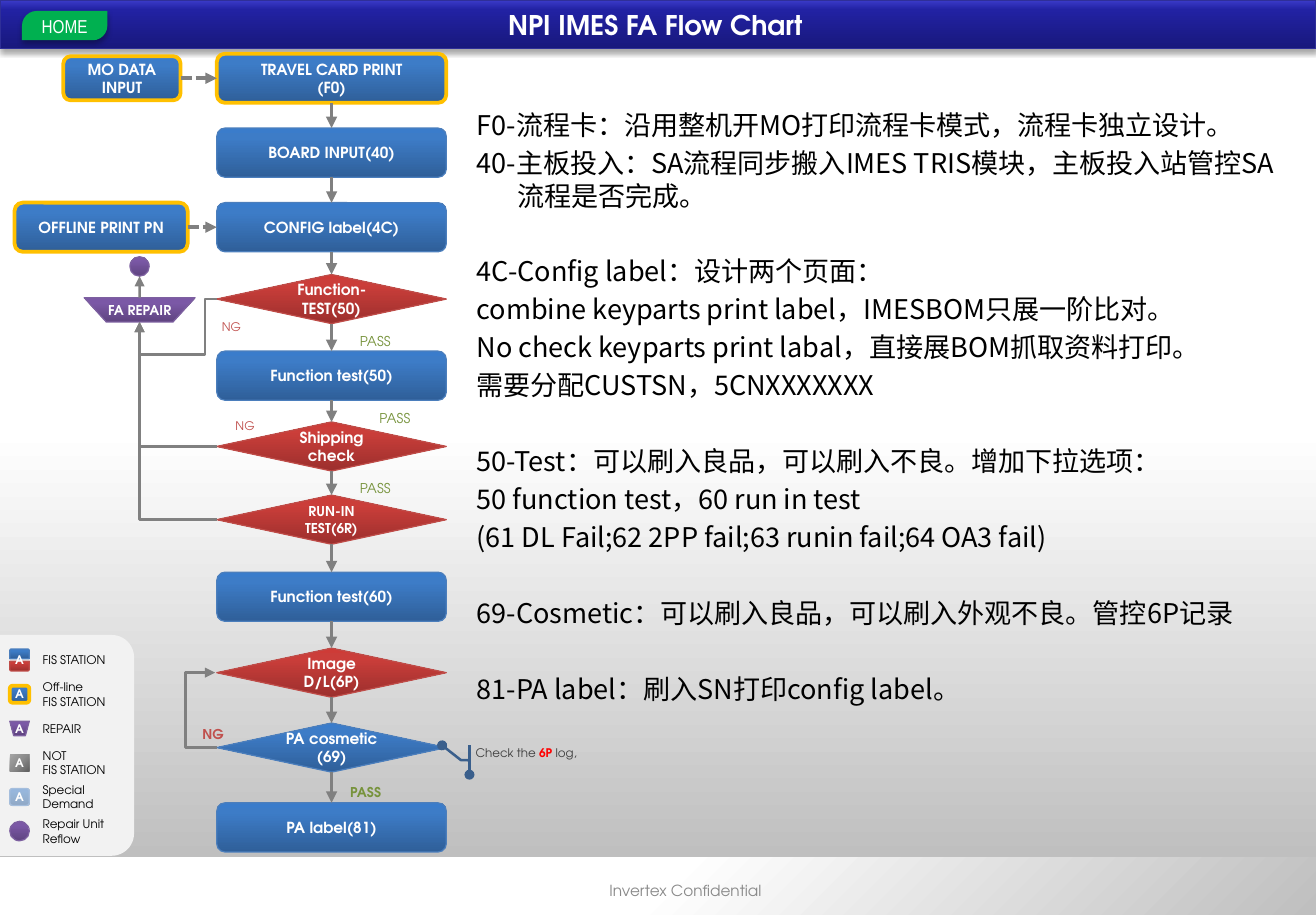
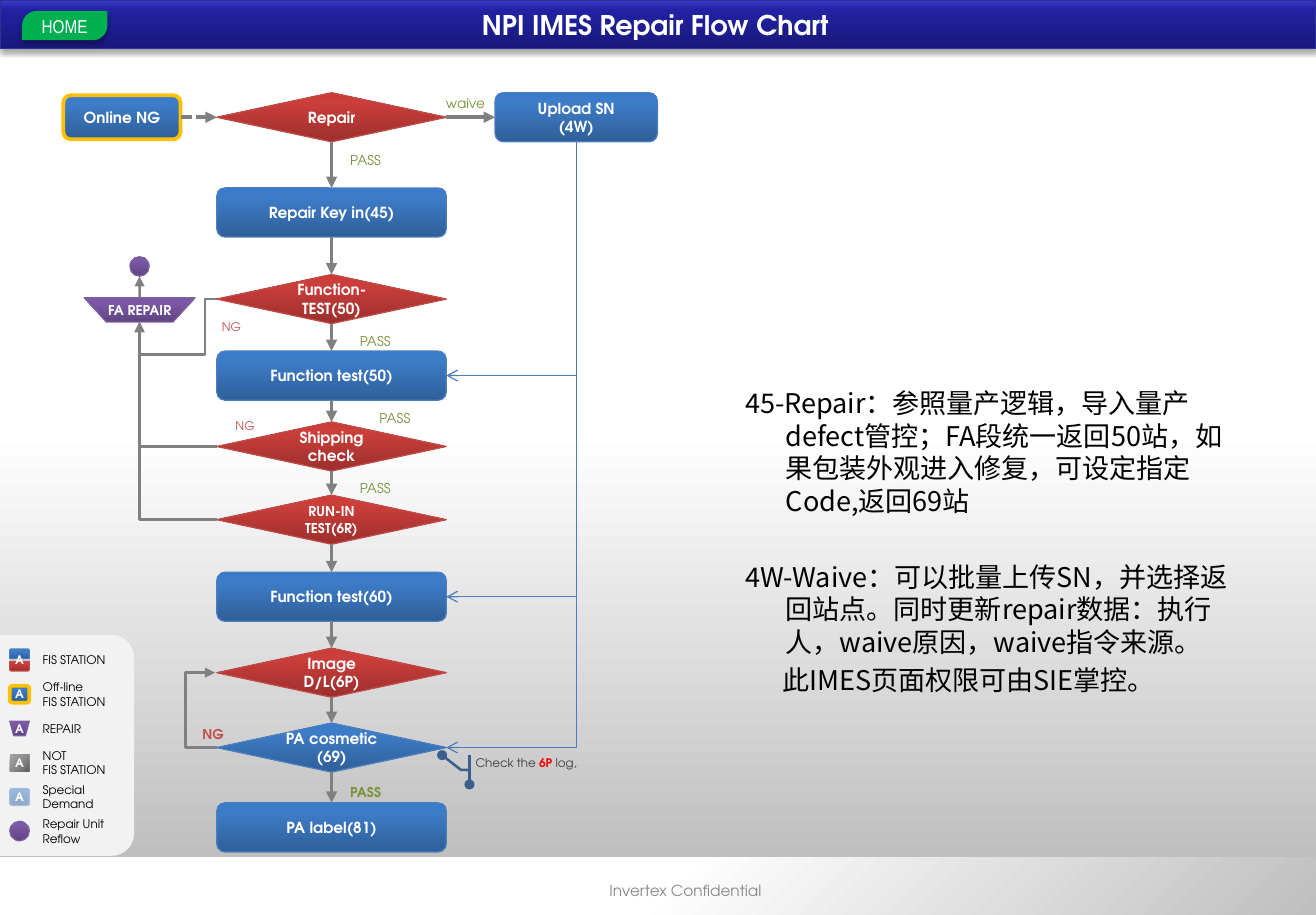
from dataclasses import dataclass

from lxml import etree
from pptx import Presentation
from pptx.dml.color import RGBColor
from pptx.enum.dml import MSO_LINE
from pptx.enum.shapes import MSO_CONNECTOR, MSO_SHAPE
from pptx.enum.text import MSO_ANCHOR, PP_ALIGN
from pptx.oxml.ns import qn
from pptx.util import Pt

RECTANGLE, ROUNDED = MSO_SHAPE.RECTANGLE, MSO_SHAPE.ROUNDED_RECTANGLE
DIAMOND, TRAPEZOID = MSO_SHAPE.DIAMOND, MSO_SHAPE.FLOWCHART_MANUAL_OPERATION
CIRCLE, TAB = MSO_SHAPE.FLOWCHART_CONNECTOR, MSO_SHAPE.ROUND_2_SAME_RECTANGLE
HOME_TAB, CALLOUT = MSO_SHAPE.ROUND_2_DIAG_RECTANGLE, MSO_SHAPE.LINE_CALLOUT_2_ACCENT_BAR
STRAIGHT, ELBOW = MSO_CONNECTOR.STRAIGHT, MSO_CONNECTOR.ELBOW
LEFT, CENTER = PP_ALIGN.LEFT, PP_ALIGN.CENTER
TOP, MIDDLE = MSO_ANCHOR.TOP, MSO_ANCHOR.MIDDLE
SITE_TOP, SITE_LEFT, SITE_BOTTOM, SITE_RIGHT = range(4)


@dataclass(frozen=True)
class Paint:
    stops: tuple
    line: str = ""
    weight: float = 0.75
    alpha: int = 100
    corner: bool = False


BLUE_STOPS = ((0, "2F5F99"), (80, "3D7CC7"), (100, "3A7CCB"))


class Theme:
    font, body_font, button_font = "TeX Gyre Adventor", "Noto Sans CJK SC", "Arial Narrow"
    title, body, button, node, small, tiny = 16, 16, 11, 9, 8, 7
    white, black, muted, note = "FFFFFF", "000000", "898989", "404040"
    good, bad, alert, gray = "77933C", "C0504D", "FF0000", "808080"
    green, panel, callout, link = "00B050", "F2F2F2", "3A5F8C", "4B7EBC"
    blue = Paint(BLUE_STOPS, link)
    offline = Paint(BLUE_STOPS, "FFC000", 2.25)
    special = Paint(BLUE_STOPS, "A5BEDD", alpha=50)
    red = Paint(((0, "9C2F2D"), (80, "CB3E3A"), (100, "CE3B37")), "BF4C48")
    purple = Paint(((0, "5F4480"), (80, "7B58A6"), (100, "7C57A8")), "7D60A0")
    band = Paint(((0, "18187C"), (80, "2222A3"), (100, "3C3CCB")), "2F2F98")
    backdrop = Paint(((0, "BFBFBF"), (50, "FFFFFF")))
    footer = Paint(((0, "BFBFBF"), (50, "FFFFFF")), corner=True)
    steel = Paint(((0, "626262"), (50, "8C8C8C"), (100, "A6A6A6")), corner=True)


WIDTH, HEIGHT = 776.88, 540
COLUMN, NODE_WIDTH, NODE_HEIGHT = 128, 135.5, 29
REPAIR = (49.7, 175.7, 65.5, 14.4)
REPAIR_X, REPAIR_BOTTOM = 82.4, 190.1

SHARED_STEPS = [
    (DIAMOND, Theme.red, "Function-TEST(50)", 162),
    (ROUNDED, Theme.blue, "Function test(50)", 207.2),
    (DIAMOND, Theme.red, "Shipping check", 249),
    (DIAMOND, Theme.red, "RUN-IN\nTEST(6R)", 292.2),
    (ROUNDED, Theme.blue, "Function test(60)", 337.7),
    (DIAMOND, Theme.red, "Image D/L(6P)", 382.5),
    (DIAMOND, Theme.blue, "PA cosmetic\n(69)", 426.7),
    (ROUNDED, Theme.blue, "PA label(81)", 473.8),
]
SHARED_TAGS = [
    ("PASS", 206.6, 193.5, Theme.good, Theme.small, False),
    ("PASS", 218.2, 239, Theme.good, Theme.small, False),
    ("PASS", 206.6, 280.5, Theme.good, Theme.small, False),
    ("PASS", 200.9, 460, Theme.good, Theme.small, True),
    ("NG", 128, 188.6, Theme.bad, Theme.tiny, False),
    ("NG", 136, 247.2, Theme.bad, Theme.tiny, False),
    ("NG", 117.2, 428.4, Theme.bad, Theme.small, True),
]
LEGEND = [
    ("FIS STATION", None, None, 13),
    ("Off-line\nFIS STATION", ROUNDED, Theme.offline, 10),
    ("REPAIR", TRAPEZOID, Theme.purple, 8.6),
    ("NOT\nFIS STATION", RECTANGLE, Theme.steel, 10),
    ("Special Demand", ROUNDED, Theme.special, 10),
    ("Repair Unit Reflow", CIRCLE, Theme.purple, 11.5),
]
SLIDES = [
    {
        "title": "NPI IMES FA Flow Chart",
        "steps": [
            (ROUNDED, Theme.offline, "TRAVEL CARD PRINT\n(F0)", 31.7),
            (ROUNDED, Theme.blue, "BOARD INPUT(40)", 75.6),
            (ROUNDED, Theme.blue, "CONFIG label(4C)", 119.6),
        ],
        "inputs": [("MO DATA\nINPUT", 37.4, 69.2, 26, 0), ("OFFLINE PRINT PN", 8.6, 102.2, 29, 2)],
        "tags": [],
        "callout_top": 439.9,
        "body_box": (275, 60.5, 499, 381),
        "body": [
            ["F0-流程卡：沿用整机开MO打印流程卡模式，流程卡独立设计。",
             "40-主板投入：SA流程同步搬入IMES TRIS模块，主板投入站管控SA流程是否完成。"],
            ["4C-Config label：设计两个页面：",
             "combine keyparts print label，IMESBOM只展一阶比对。",
             "No check keyparts print labal，直接展BOM抓取资料打印。",
             "需要分配CUSTSN，5CNXXXXXXX"],
            ["50-Test：可以刷入良品，可以刷入不良。增加下拉选项：",
             "50 function test，60 run in test",
             "(61 DL Fail;62 2PP fail;63 runin fail;64 OA3 fail)"],
            ["69-Cosmetic：可以刷入良品，可以刷入外观不良。管控6P记录"],
            ["81-PA label：刷入SN打印config label。"],
        ],
        "indented": "",
    },
    {
        "title": "NPI IMES Repair Flow Chart",
        "steps": [
            (DIAMOND, Theme.red, "Repair", 54.7),
            (ROUNDED, Theme.blue, "Repair Key in(45)", 110.9),
        ],
        "inputs": [("Online NG", 37.4, 69.2, 26, 0)],
        "tags": [("PASS", 200.9, 87, Theme.good, Theme.small, False),
                 ("waive", 257.5, 53, Theme.good, Theme.small, False)],
        "callout_top": 445.7,
        "body_box": (433.4, 224.6, 303.1, 249),
        "body": [
            ["45-Repair：参照量产逻辑，导入量产defect管控；FA段统一返回50站，"
             "如果包装外观进入修复，可设定指定Code,返回69站"],
            ["4W-Waive：可以批量上传SN，并选择返回站点。同时更新repair数据：执行人，waive原因，waive指令来源。"],
        ],
        "indented": "此IMES页面权限可由SIE掌控。",
        "upload": ("Upload SN\n(4W)", 292.3, 95.8),
        "returns": ["Function test(50)", "Function test(60)", "PA cosmetic\n(69)"],
    },
]


def color(value):
    return RGBColor.from_string(value)


def add_gradient(shape, paint):
    shape.fill.gradient()
    gradient = shape._element.spPr.find(qn("a:gradFill"))
    for child in list(gradient):
        gradient.remove(child)
    stops = etree.SubElement(gradient, qn("a:gsLst"))
    for position, value in paint.stops:
        stop = etree.SubElement(stops, qn("a:gs"), pos=str(position * 1000))
        tint = etree.SubElement(stop, qn("a:srgbClr"), val=value)
        if paint.alpha < 100:
            etree.SubElement(tint, qn("a:alpha"), val=str(paint.alpha * 1000))
    if paint.corner:
        circle = etree.SubElement(gradient, qn("a:path"), {"path": "circle"})
        etree.SubElement(circle, qn("a:fillToRect"), l="100000", t="100000")
    else:
        etree.SubElement(gradient, qn("a:lin"), ang="16200000", scaled="0")


def add_shadow(shape, blur, distance, alpha):
    effects = shape._element.spPr.find(qn("a:effectLst"))
    shadow = etree.SubElement(effects, qn("a:outerShdw"), blurRad=str(Pt(blur)),
                              dist=str(Pt(distance)), dir="5400000", rotWithShape="0")
    tint = etree.SubElement(shadow, qn("a:srgbClr"), val=Theme.black)
    etree.SubElement(tint, qn("a:alpha"), val=str(alpha * 1000))


def add_figure(slide, kind, box, paint):
    shape = slide.shapes.add_shape(kind, *map(Pt, box))
    shape.shadow.inherit = False
    if isinstance(paint, Paint):
        add_gradient(shape, paint)
    elif paint:
        shape.fill.solid()
        shape.fill.fore_color.rgb = color(paint)
    else:
        shape.fill.background()
    if isinstance(paint, Paint) and paint.line:
        shape.line.color.rgb = color(paint.line)
        shape.line.width = Pt(paint.weight)
    else:
        shape.line.fill.background()
    return shape


def set_frame(shape, anchor, inset):
    frame = shape.text_frame
    frame.word_wrap = True
    frame.vertical_anchor = anchor
    frame.margin_left = frame.margin_right = Pt(inset[0])
    frame.margin_top = frame.margin_bottom = Pt(inset[1])
    return frame


def set_font(font, size, tone, bold=False, name=Theme.font):
    font.size, font.bold, font.name = Pt(size), bold, name
    font.color.rgb = color(tone)


def write(shape, text, size, tone, bold=False, name=Theme.font, align=CENTER, anchor=MIDDLE, inset=(0, 0)):
    frame = set_frame(shape, anchor, inset)
    frame.text = text
    for paragraph in frame.paragraphs:
        paragraph.alignment = align
        set_font(paragraph.font, size, tone, bold, name)


def add_label(slide, box, *text, **style):
    write(slide.shapes.add_textbox(*map(Pt, box)), *text, **style)


def add_line(slide, kind, begin, end, tone, weight, mark="tailEnd", arrow="triangle"):
    connector = slide.shapes.add_connector(kind, *map(Pt, begin + end))
    connector.line.color.rgb = color(tone)
    connector.line.width = Pt(weight)
    etree.SubElement(connector._element.spPr, qn("a:effectLst"))
    etree.SubElement(connector.line._get_or_add_ln(), qn(f"a:{mark}"), type=arrow)
    return connector


def join(slide, source, source_site, target, target_site, dashed=False):
    connector = add_line(slide, STRAIGHT, (0, 0), (0, 0), Theme.gray, 2.25)
    connector.begin_connect(source, source_site)
    connector.end_connect(target, target_site)
    if dashed:
        line = connector.line._get_or_add_ln()
        dash = etree.Element(qn("a:prstDash"), val="sysDash")
        line.find(qn("a:tailEnd")).addprevious(dash)


def add_elbow(slide, begin, end, bends, ratios=(), tone=Theme.gray, weight=1.5, **ends):
    connector = add_line(slide, ELBOW, begin, end, tone, weight, **ends)
    geometry = connector._element.spPr.find(qn("a:prstGeom"))
    geometry.set("prst", f"bentConnector{bends}")
    guides = geometry.find(qn("a:avLst"))
    for number, ratio in enumerate(ratios, 1):
        etree.SubElement(guides, qn("a:gd"), name=f"adj{number}", fmla=f"val {round(ratio * 100000)}")


def add_legend(slide):
    add_figure(slide, TAB, (-25.6, 400.3, 130.3, 79.2), Theme.panel).rotation = 90
    for row, (text, kind, paint, height) in enumerate(LEGEND):
        middle = 389.5 + 20.2 * row
        icon_box = (5.8, middle - height / 2, 11.5, height)
        if kind is None:
            for top, paint, corners in ((-6.5, Theme.blue, (0.17, 0)), (0.7, Theme.red, (0, 0.17))):
                half = add_figure(slide, TAB, (5.8, middle + top, 11.5, 5.8), paint)
                half.adjustments[0], half.adjustments[1] = corners
            add_label(slide, icon_box, "A", Theme.tiny, Theme.white, True)
        else:
            icon = add_figure(slide, kind, icon_box, paint)
            if kind != CIRCLE:
                write(icon, "A", Theme.tiny, Theme.white, True)
        add_label(slide, (25.2, middle - 9, 43, 18), text, Theme.tiny, Theme.black, align=LEFT)


def add_frame(slide, title):
    add_figure(slide, RECTANGLE, (0, 0, WIDTH, 507), Theme.backdrop)
    add_figure(slide, RECTANGLE, (0, 506, WIDTH, 34), Theme.footer)
    add_label(slide, (281.5, 511.2, 246.2, 28.8), "Invertex Confidential", Theme.node, Theme.muted)
    add_shadow(add_figure(slide, RECTANGLE, (0, 0, WIDTH, 28.8), Theme.band), 3.1, 1.8, 35)
    home = add_figure(slide, HOME_TAB, (13, 6.5, 50.4, 17.3), Theme.green)
    home.adjustments[0] = 0.5
    add_shadow(home, 3.5, 2.2, 32)
    write(home, "HOME", Theme.button, Theme.white, name=Theme.button_font)
    add_label(slide, (206.6, 1.4, 360.7, 26), title, Theme.title, Theme.white, True)
    add_legend(slide)


def add_node(slide, kind, paint, text, box):
    node = add_figure(slide, kind, box, paint)
    write(node, text, Theme.small if text.startswith("RUN-IN") else Theme.node, Theme.white, True,
          inset=(5.8, 2.9) if kind == DIAMOND else (0, 0))
    return node


def add_repair_loop(slide, middles):
    repair = add_figure(slide, TRAPEZOID, REPAIR, Theme.purple)
    write(repair, "FA REPAIR", Theme.small, Theme.white, True)
    add_figure(slide, CIRCLE, (76.7, 151.5, 11.4, 11.5), Theme.purple)
    rise = add_line(slide, STRAIGHT, (REPAIR_X, 175.7), (REPAIR_X, 163), Theme.gray, 1.5)
    rise.begin_connect(repair, SITE_TOP)
    end = (REPAIR_X, REPAIR_BOTTOM)
    add_elbow(slide, (COLUMN, middles["Function-TEST(50)"]), end, 4, (0.15, 2.41))
    for name in ("Shipping check", "RUN-IN\nTEST(6R)"):
        add_elbow(slide, (COLUMN, middles[name]), end, 2)
    add_elbow(slide, (COLUMN, middles["PA cosmetic\n(69)"]), (COLUMN - 1, middles["Image D/L(6P)"]), 3, (18.5,))


def add_callout(slide, top):
    callout = add_figure(slide, CALLOUT, (280.8, top, 73.4, 17.3), None)
    for index, value in enumerate((0.51, -0.05, 0.5, -0.12, 0, -0.27)):
        callout.adjustments[index] = value
    callout.line.color.rgb = color(Theme.callout)
    callout.line.width = Pt(1.5)
    etree.SubElement(callout.line._get_or_add_ln(), qn("a:tailEnd"), type="oval")
    paragraph = set_frame(callout, TOP, (0, 0)).paragraphs[0]
    paragraph.alignment = LEFT
    for text, tone, bold in (("Check the", Theme.note, False), (" 6P ", Theme.alert, True),
                             ("log,", Theme.note, False)):
        run = paragraph.add_run()
        run.text = text
        set_font(run.font, Theme.tiny, tone, bold)


def add_body(slide, box, groups, indented):
    frame = set_frame(slide.shapes.add_textbox(*map(Pt, box)), TOP, (6.5, 3.6))
    lines = [(text, 24, -24, 25.6 if group and not row else 3.2)
             for group, texts in enumerate(groups) for row, text in enumerate(texts)]
    if indented:
        lines.append((indented, 22, 0, 3.2))
    for index, (text, margin, indent, gap) in enumerate(lines):
        paragraph = frame.add_paragraph() if index else frame.paragraphs[0]
        paragraph.text = text
        paragraph.line_spacing = Pt(19.2)
        paragraph.space_before = Pt(gap if index else 0)
        set_font(paragraph.font, Theme.body, Theme.black, name=Theme.body_font)
        etree.SubElement(paragraph.font._rPr, qn("a:ea"), typeface=Theme.body_font)
        properties = paragraph._p.get_or_add_pPr()
        properties.set("marL", str(Pt(margin)))
        properties.set("indent", str(Pt(indent)))


def add_slide(presentation, content):
    slide = presentation.slides.add_slide(presentation.slide_layouts[6])
    add_frame(slide, content["title"])
    steps = content["steps"] + SHARED_STEPS
    nodes = [add_node(slide, kind, paint, text, (COLUMN, top, NODE_WIDTH, NODE_HEIGHT))
             for kind, paint, text, top in steps]
    middles = {text: top + NODE_HEIGHT / 2 for _, _, text, top in steps}
    for upper, lower in zip(nodes, nodes[1:]):
        join(slide, upper, SITE_BOTTOM, lower, SITE_TOP)
    for text, left, width, height, target in content["inputs"]:
        top = middles[steps[target][2]] - height / 2
        source = add_node(slide, ROUNDED, Theme.offline, text, (left, top, width, height))
        join(slide, source, SITE_RIGHT, nodes[target], SITE_LEFT, dashed=True)
    add_repair_loop(slide, middles)
    if "upload" in content:
        text, left, width = content["upload"]
        top = steps[0][3]
        upload = add_node(slide, ROUNDED, Theme.blue, text, (left, top, width, NODE_HEIGHT))
        join(slide, nodes[0], SITE_RIGHT, upload, SITE_LEFT)
        for name in content["returns"]:
            add_elbow(slide, (COLUMN + NODE_WIDTH, middles[name]), (left + width / 2, top + NODE_HEIGHT), 2,
                      tone=Theme.link, weight=0.75, mark="headEnd", arrow="arrow")
    for text, left, top, tone, size, bold in SHARED_TAGS + content["tags"]:
        style = {"align": CENTER} if text == "NG" else {"align": LEFT, "inset": (5.8, 2.9)}
        box = (left, top, 45 if text == "waive" else 34.6 if text == "PASS" else 17.3, 9 if text == "NG" else 15.8)
        add_label(slide, box, text, size, tone, bold, anchor=TOP, **style)
    add_callout(slide, content["callout_top"])
    add_body(slide, content["body_box"], content["body"], content["indented"])


def main():
    presentation = Presentation()
    presentation.slide_width, presentation.slide_height = Pt(WIDTH), Pt(HEIGHT)
    for content in SLIDES:
        add_slide(presentation, content)
    presentation.save("out.pptx")


if __name__ == "__main__":
    main()
